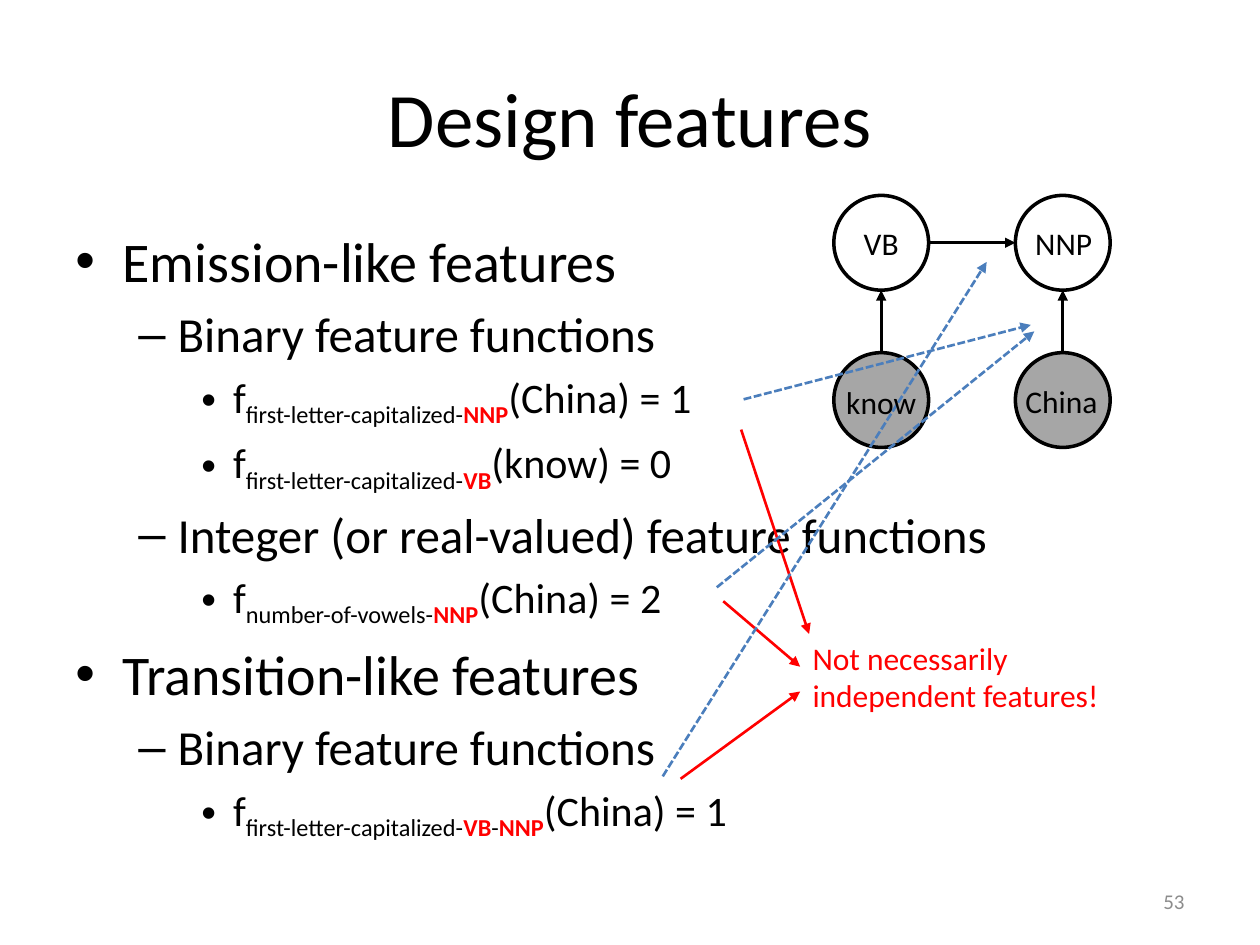
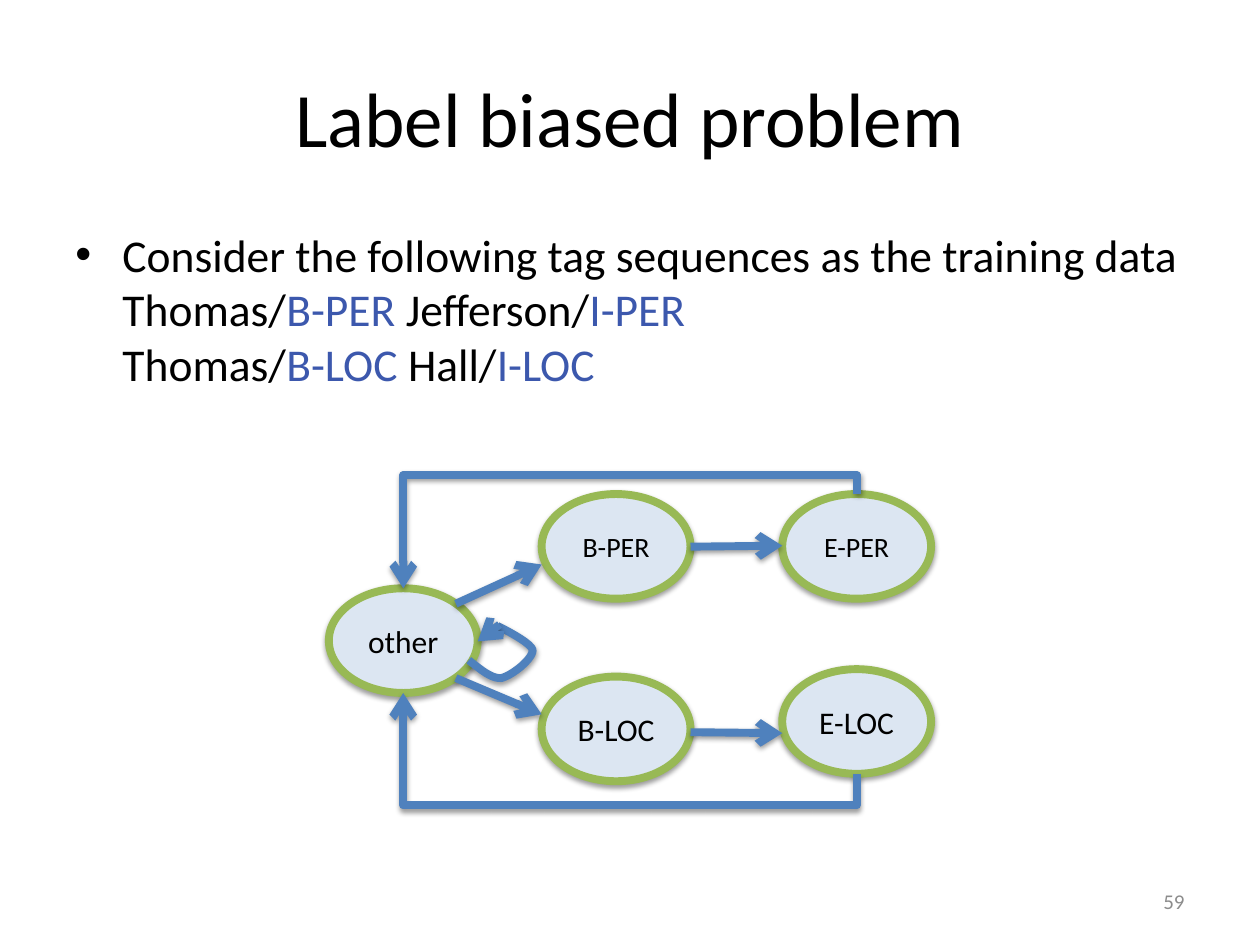
"""Builds two slides on sequence-labelling features and label bias."""
from dataclasses import dataclass
from typing import NamedTuple

from lxml.etree import SubElement
from pptx import Presentation
from pptx.dml.color import RGBColor
from pptx.enum.dml import MSO_LINE
from pptx.enum.shapes import MSO_CONNECTOR, MSO_SHAPE
from pptx.enum.text import MSO_ANCHOR, PP_ALIGN
from pptx.oxml.ns import qn
from pptx.util import Cm, Pt


@dataclass(frozen=True)
class Theme:
    font: str = "Calibri"
    ink: str = "000000"
    paper: str = "FFFFFF"
    observed: str = "A6A6A6"
    alert: str = "FF0000"
    pointer: str = "4B7EBC"
    tag: str = "3C58AD"
    muted: str = "8C8C8C"
    state_fill: str = "DCE6F2"
    state_line: str = "98B955"
    transition: str = "4F81BD"
    title_size: float = 44
    level_sizes: tuple = (32, 28, 24)
    sequence_size: float = 26
    label_size: float = 18
    small_label_size: float = 16
    number_size: float = 12
    thin: float = 1.5
    outline: float = 2
    thick: float = 4.5


THEME = Theme()


class Frame(NamedTuple):
    left: float
    top: float
    width: float
    height: float


class Point(NamedTuple):
    x: float
    y: float


class Span(NamedTuple):
    text: str
    color: str = THEME.ink
    bold: bool = False
    subscript: bool = False


class Bullet(NamedTuple):
    level: int
    lines: list
    size: float


class Level(NamedTuple):
    margin: float
    hanging: float
    symbol: str


@dataclass(frozen=True)
class Stroke:
    color: str
    width: float = THEME.thin
    head: str = "triangle"
    dashed: bool = False
    shadow: bool = False


class Arrow(NamedTuple):
    start: Point
    end: Point


@dataclass(frozen=True)
class Node:
    frame: Frame
    text: str
    fill: str
    line: str
    width: float
    size: float = THEME.label_size
    shadow: bool = False


TITLE = Frame(1.27, 0.76, 22.86, 3.18)
BODY = Frame(1.27, 4.45, 22.86, 12.57)
NUMBER = Frame(18.21, 17.65, 5.92, 1.02)
LEVELS = (Level(0.95, 0.95, "•"), Level(2.06, 0.79, "–"), Level(3.18, 0.64, "•"))
EDGE = Stroke(THEME.ink)
WARNING = Stroke(THEME.alert)
POINTER = Stroke(THEME.pointer, dashed=True)
TRANSITION = Stroke(THEME.transition, THEME.thick, "arrow", shadow=True)


def cm_frame(frame: Frame) -> list:
    """Convert a frame to slide lengths."""
    return [Cm(length) for length in frame]


def add_span(paragraph, span: Span, size: float) -> None:
    """Add one formatted run."""
    run = paragraph.add_run()
    run.text = span.text
    run.font.name = THEME.font
    run.font.size = Pt(size)
    run.font.bold = span.bold
    run.font.color.rgb = RGBColor.from_string(span.color)
    if span.subscript:
        run.font._element.set("baseline", "-25000")


def add_text(slide, frame: Frame, span: Span, size: float, align=PP_ALIGN.LEFT,
             anchor=MSO_ANCHOR.TOP) -> None:
    """Add a text box holding one paragraph."""
    text = slide.shapes.add_textbox(*cm_frame(frame)).text_frame
    text.word_wrap = True
    text.vertical_anchor = anchor
    text.paragraphs[0].alignment = align
    add_span(text.paragraphs[0], span, size)


def add_bullets(slide, bullets: list) -> None:
    """Add the body text with its bullet levels."""
    text = slide.shapes.add_textbox(*cm_frame(BODY)).text_frame
    text.word_wrap = True
    for index, bullet in enumerate(bullets):
        paragraph = text.add_paragraph() if index else text.paragraphs[0]
        level = LEVELS[bullet.level]
        properties = paragraph._p.get_or_add_pPr()
        properties.set("marL", str(Cm(level.margin)))
        properties.set("indent", str(-Cm(level.hanging)))
        SubElement(properties, qn("a:buFont"), typeface="Arial")
        SubElement(properties, qn("a:buChar"), char=level.symbol)
        paragraph.level = bullet.level
        if index:
            paragraph.space_before = Pt(bullet.size * 0.2)
        for number, line in enumerate(bullet.lines):
            if number:
                paragraph.add_line_break()
            for span in line:
                add_span(paragraph, span, bullet.size)


def set_effects(properties, shadow: bool) -> None:
    """Give shape properties a soft shadow or none."""
    effects = properties.find(qn("a:effectLst"))
    if effects is None:
        effects = SubElement(properties, qn("a:effectLst"))
    if shadow:
        outer = SubElement(effects, qn("a:outerShdw"), blurRad=str(Pt(3.1)),
                           dist=str(Pt(1.6)), dir="5400000", rotWithShape="0")
        color = SubElement(outer, qn("a:srgbClr"), val=THEME.ink)
        SubElement(color, qn("a:alpha"), val="38000")


def set_line(line, color: str, width: float) -> None:
    """Set a line's colour and width."""
    line.color.rgb = RGBColor.from_string(color)
    line.width = Pt(width)


def add_arrow(slide, arrow: Arrow, stroke: Stroke, kind=MSO_CONNECTOR.STRAIGHT):
    """Add a connector with an arrowhead at its end."""
    ends = [Cm(length) for point in arrow for length in point]
    connector = slide.shapes.add_connector(kind, *ends)
    set_line(connector.line, stroke.color, stroke.width)
    if stroke.dashed:
        connector.line.dash_style = MSO_LINE.SQUARE_DOT
    properties = connector._element.spPr
    SubElement(properties.find(qn("a:ln")), qn("a:tailEnd"), type=stroke.head)
    set_effects(properties, stroke.shadow)
    return connector


def add_return(slide, arrow: Arrow, bend: float) -> None:
    """Add an elbow connector that leaves and arrives vertically."""
    start, end = arrow
    middle = Point((start.x + end.x) / 2, (start.y + end.y) / 2)
    half_rise, half_run = (end.y - start.y) / 2, (start.x - end.x) / 2
    unturned = Arrow(Point(middle.x - half_rise, middle.y - half_run),
                     Point(middle.x + half_rise, middle.y + half_run))
    connector = add_arrow(slide, unturned, TRANSITION, MSO_CONNECTOR.ELBOW)
    properties = connector._element.spPr
    properties.find(qn("a:xfrm")).set("rot", "5400000")
    adjustments = properties.find(qn("a:prstGeom")).find(qn("a:avLst"))
    SubElement(adjustments, qn("a:gd"), name="adj1", fmla=f"val {round(bend * 100000)}")


def add_node(slide, node: Node) -> None:
    """Add an oval graph node with a centred label."""
    oval = slide.shapes.add_shape(MSO_SHAPE.OVAL, *cm_frame(node.frame))
    oval.shadow.inherit = False
    oval.fill.solid()
    oval.fill.fore_color.rgb = RGBColor.from_string(node.fill)
    set_line(oval.line, node.line, node.width)
    set_effects(oval._element.spPr, node.shadow)
    if node.text:
        text = oval.text_frame
        text.word_wrap = False
        text.vertical_anchor = MSO_ANCHOR.MIDDLE
        text.paragraphs[0].alignment = PP_ALIGN.CENTER
        add_span(text.paragraphs[0], Span(node.text), node.size)


def bezier(controls: list, steps: int = 10) -> list:
    """Sample a cubic curve, leaving out its first point."""
    weights = [((1 - t) ** 3, 3 * t * (1 - t) ** 2, 3 * t * t * (1 - t), t ** 3)
               for t in (step / steps for step in range(1, steps + 1))]
    return [Point(sum(w * p.x for w, p in zip(row, controls)),
                  sum(w * p.y for w, p in zip(row, controls))) for row in weights]


def add_self_loop(slide) -> None:
    """Draw the loop from the other state back to itself."""
    controls = [Point(9.45, 13.31), Point(9.68, 13.49), Point(9.91, 13.69), Point(10.11, 13.67),
                Point(10.34, 13.61), Point(10.74, 13.28), Point(10.74, 13.11),
                Point(10.72, 12.95), Point(10.03, 12.62), Point(10.03, 12.62)]
    curve = [point for first in (0, 3, 6) for point in bezier(controls[first:first + 4])]
    builder = slide.shapes.build_freeform(Cm(controls[0].x), Cm(controls[0].y))
    builder.add_line_segments([(Cm(point.x), Cm(point.y)) for point in curve], close=False)
    loop = builder.convert_to_shape()
    loop.shadow.inherit = False
    loop.fill.background()
    set_line(loop.line, TRANSITION.color, TRANSITION.width)
    set_effects(loop._element.spPr, True)
    add_arrow(slide, Arrow(controls[-1], Point(9.63, 12.93)), TRANSITION)


def start_slide(deck, title: str, number: str):
    """Add a blank slide with its title and number."""
    slide = deck.slides.add_slide(deck.slide_layouts[6])
    add_text(slide, TITLE, Span(title), THEME.title_size, PP_ALIGN.CENTER, MSO_ANCHOR.MIDDLE)
    add_text(slide, NUMBER, Span(number, THEME.muted), THEME.number_size,
             PP_ALIGN.RIGHT, MSO_ANCHOR.MIDDLE)
    return slide


def heading(level: int, text: str) -> Bullet:
    """Make a plain bullet."""
    return Bullet(level, [[Span(text)]], THEME.level_sizes[level])


def feature(name: str, tags: list, result: str) -> Bullet:
    """Make a feature-function bullet with a subscript name."""
    spans = [Span("f"), Span(name, subscript=True)]
    for index, tag in enumerate(tags):
        if index:
            spans.append(Span("-", subscript=True))
        spans.append(Span(tag, THEME.alert, True, True))
    return Bullet(2, [spans + [Span(result)]], THEME.level_sizes[2])


def build_features(deck) -> None:
    """Build the feature design slide."""
    slide = start_slide(deck, "Design features", "53")
    capitalized = "first-letter-capitalized-"
    add_bullets(slide, [
        heading(0, "Emission-like features"),
        heading(1, "Binary feature functions"),
        feature(capitalized, ["NNP"], "(China) = 1"),
        feature(capitalized, ["VB"], "(know) = 0"),
        heading(1, "Integer (or real-valued) feature functions"),
        feature("number-of-vowels-", ["NNP"], "(China) = 2"),
        heading(0, "Transition-like features"),
        heading(1, "Binary feature functions"),
        feature(capitalized, ["VB", "NNP"], "(China) = 1")])
    for arrow in (Arrow(Point(14.58, 12.12), Point(16.13, 13.44)),
                  Arrow(Point(13.72, 15.7), Point(16.13, 13.94)),
                  Arrow(Point(14.94, 8.66), Point(16.31, 12.78))):
        add_arrow(slide, arrow, WARNING)
    add_text(slide, Frame(16.13, 12.75, 6.83, 1.8),
             Span("Not necessarily independent features!", THEME.alert), THEME.label_size)
    columns, tag_top, word_top, diameter = (16.81, 20.47), 3.94, 7.11, 1.91
    radius = diameter / 2
    for left, tag in zip(columns, ("VB", "")):
        for top, text, fill in ((tag_top, tag, THEME.paper), (word_top, "", THEME.observed)):
            add_node(slide, Node(Frame(left, top, diameter, diameter), text, fill,
                                 THEME.ink, THEME.outline))
        add_arrow(slide, Arrow(Point(left + radius, word_top),
                               Point(left + radius, tag_top + diameter)), EDGE)
    add_arrow(slide, Arrow(Point(columns[0] + diameter, tag_top + radius),
                           Point(columns[1], tag_top + radius)), EDGE)
    for arrow in (Arrow(Point(14.99, 8.05), Point(20.78, 6.55)),
                  Arrow(Point(14.45, 11.84), Point(20.85, 6.68)),
                  Arrow(Point(13.36, 15.65), Point(19.89, 5.28))):
        add_arrow(slide, arrow, POINTER)
    for text, frame in (("China", Frame(20.42, 7.57, 2.11, 1.02)),
                        ("NNP", Frame(20.62, 4.39, 2.34, 1.02)),
                        ("know", Frame(16.81, 7.59, 2.01, 1.02))):
        add_text(slide, frame, Span(text), THEME.label_size)


def build_bias(deck) -> None:
    """Build the label bias slide."""
    slide = start_slide(deck, "Label biased problem", "59")
    sequences = [[Span("Thomas/"), Span(f"B-{kind} ", THEME.tag), Span(f"{second}/"),
                  Span(f"I-{kind}", THEME.tag)]
                 for kind, second in (("PER", "Jefferson"), ("LOC", "Hall"))]
    intro = [Span("Consider the following tag sequences as the training data")]
    add_bullets(slide, [Bullet(0, [intro, *sequences], THEME.sequence_size)])
    for text, left, top, size in (("other", 6.63, 11.86, THEME.label_size),
                                  ("B-LOC", 10.92, 13.64, THEME.label_size),
                                  ("E-LOC", 15.77, 13.49, THEME.label_size),
                                  ("B-PER", 10.92, 9.96, THEME.small_label_size),
                                  ("E-PER", 15.77, 9.96, THEME.small_label_size)):
        add_node(slide, Node(Frame(left, top, 3, 2.11), text, THEME.state_fill,
                             THEME.state_line, THEME.thick, size, True))
    for arrow in (Arrow(Point(9.19, 12.17), Point(10.92, 11.38)),
                  Arrow(Point(13.92, 11.02), Point(15.77, 11)),
                  Arrow(Point(9.19, 13.67), Point(10.92, 14.4)),
                  Arrow(Point(13.92, 14.76), Point(15.77, 14.78))):
        add_arrow(slide, arrow, TRANSITION)
    add_return(slide, Arrow(Point(17.27, 15.6), Point(8.13, 13.97)), -0.39)
    add_return(slide, Arrow(Point(17.27, 9.96), Point(8.13, 11.86)), -0.2)
    add_self_loop(slide)


def main() -> None:
    """Build and save the deck."""
    deck = Presentation()
    deck.slide_width, deck.slide_height = Cm(25.4), Cm(19.05)
    build_features(deck)
    build_bias(deck)
    deck.save("out.pptx")


if __name__ == "__main__":
    main()
